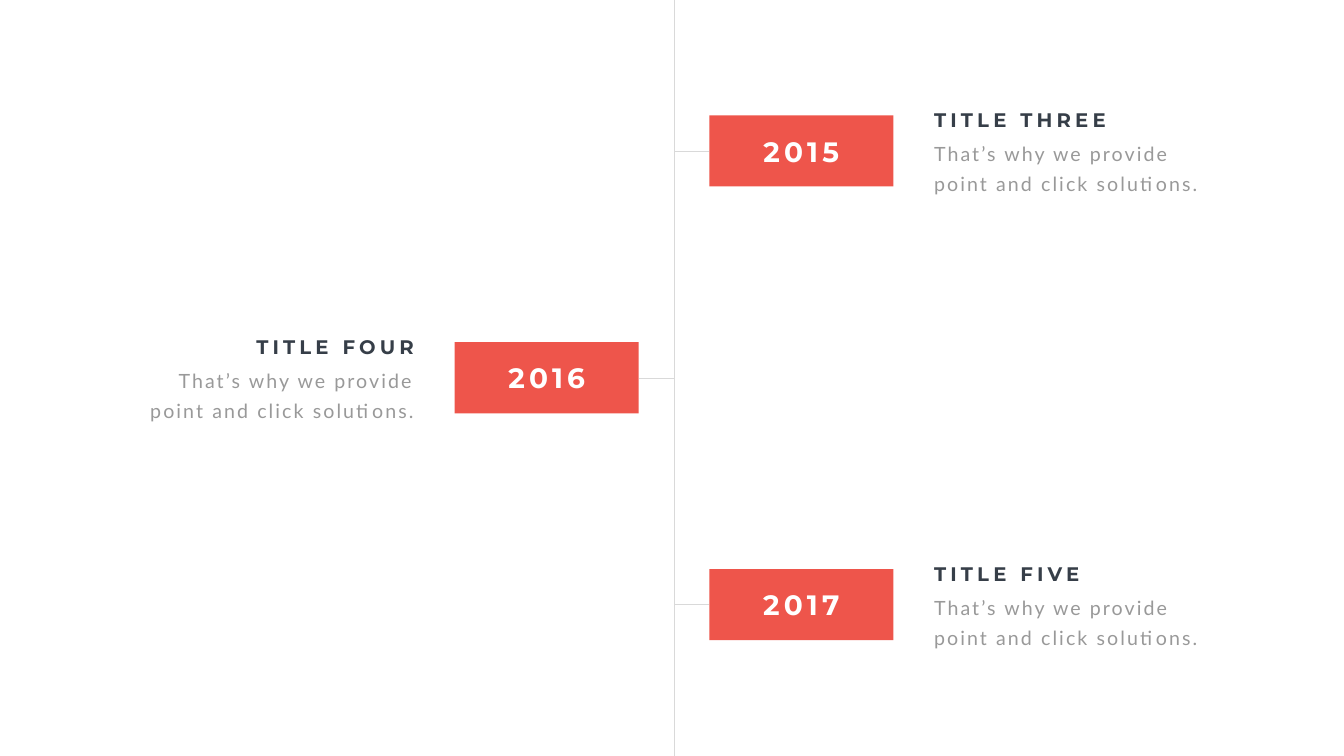
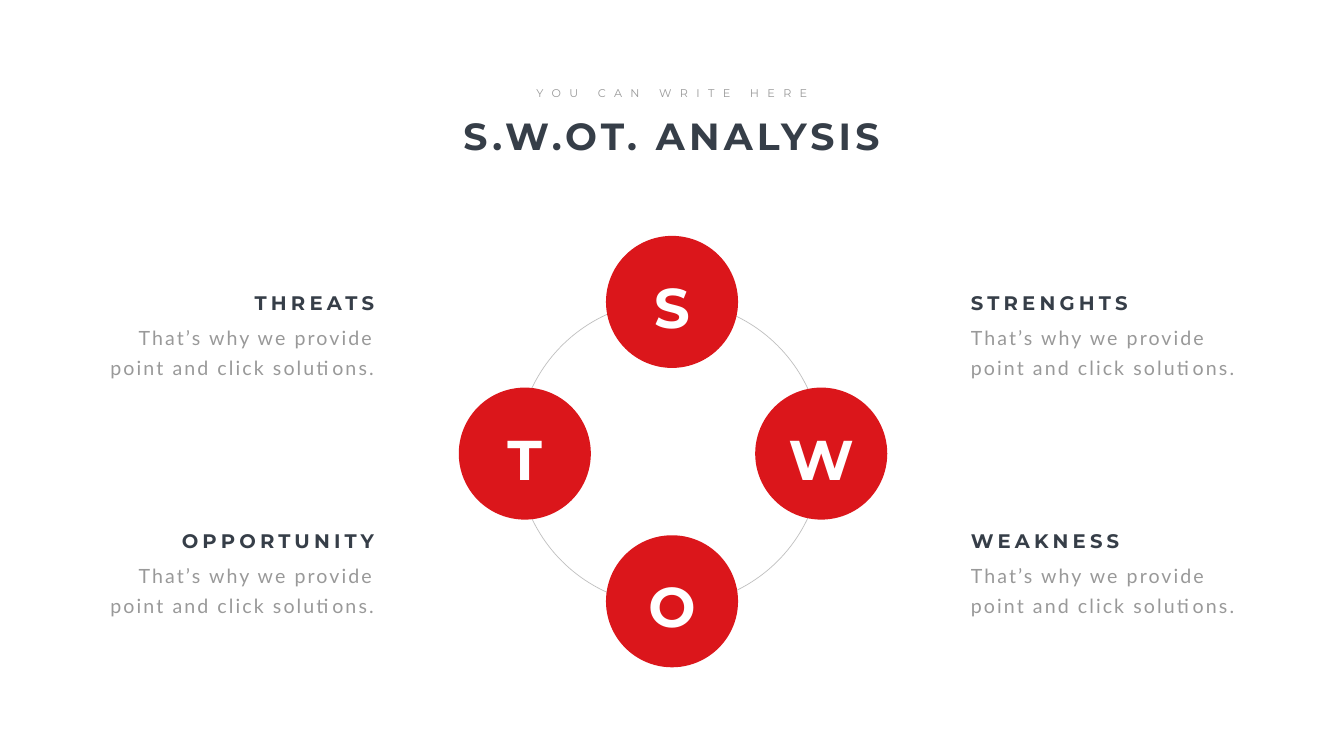
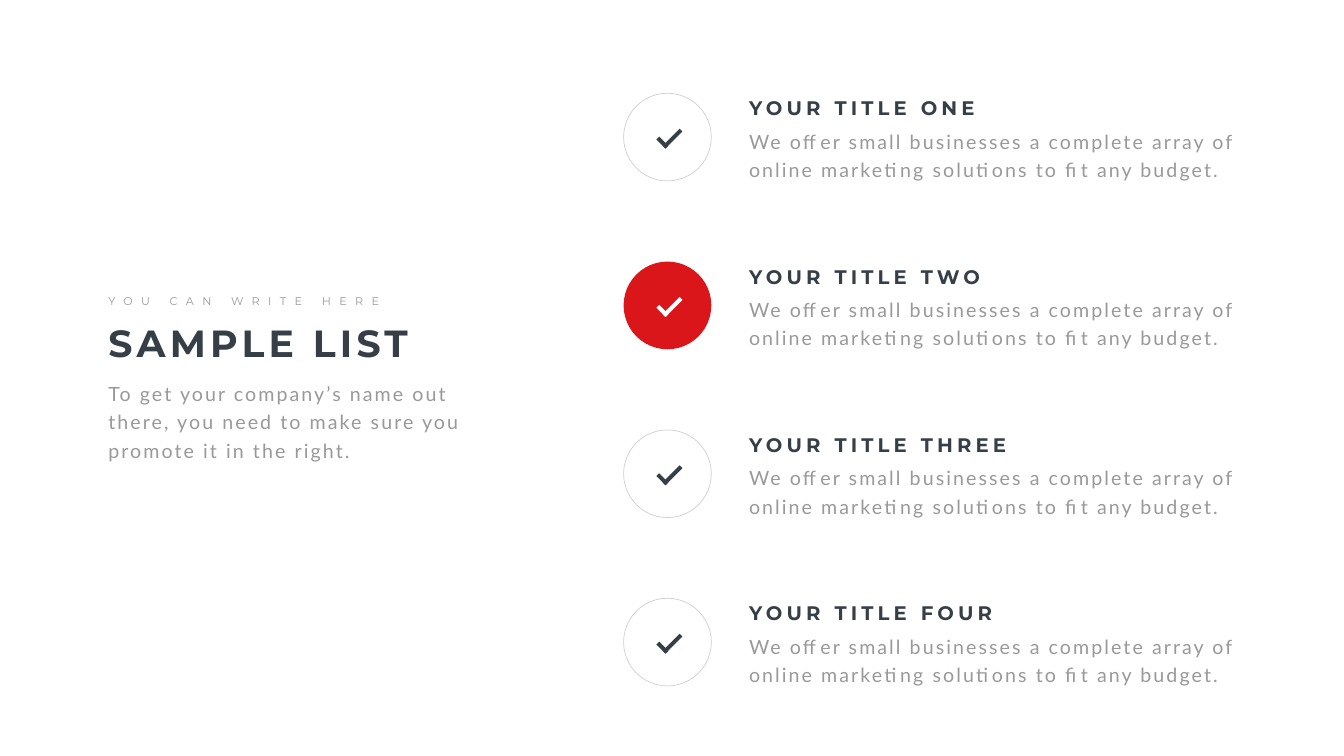
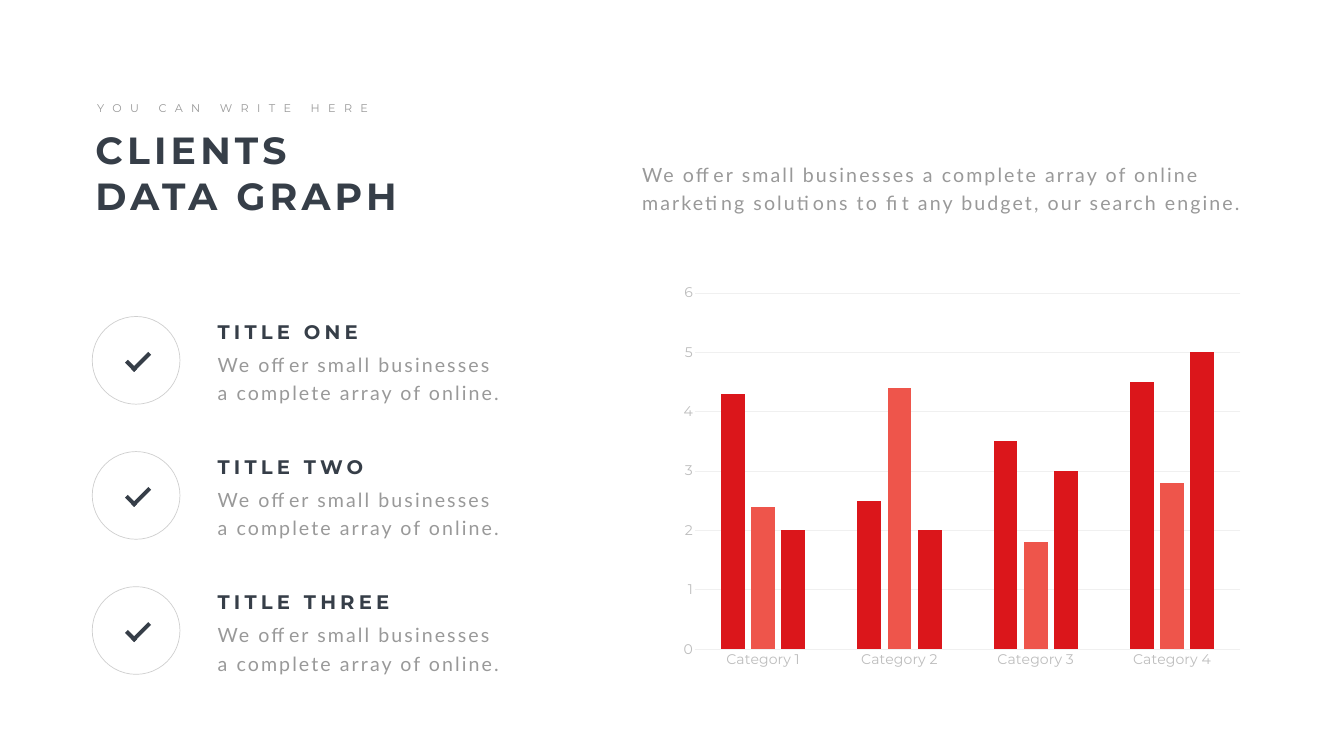
from collections import namedtuple
from lxml.etree import SubElement
from pptx import Presentation
from pptx.chart.data import CategoryChartData as ChartData
from pptx.dml.color import RGBColor
from pptx.enum.chart import XL_CHART_TYPE as Chart, XL_TICK_MARK as Tick
from pptx.enum.shapes import MSO_CONNECTOR as Link, MSO_SHAPE as Kind
from pptx.enum.text import MSO_ANCHOR as Anchor, MSO_AUTO_SIZE as Fit, PP_ALIGN as Align
from pptx.oxml.ns import qn
from pptx.util import Inches, Pt

# Shared colours and text styles
DARK, GREY, WHITE = "363E48", "999999", "FFFFFF"
RED, CORAL = "DB161B", "EE554B"
RING, WHEEL, RULE, GRID, AXIS = "CFCFCF", "BFBFBF", "D9D9D9", "F0F0F0", "BDBDBD"

Style = namedtuple("Style", "font size color bold space")
TITLE = Style("Montserrat", 54, DARK, True, 6)
KICKER = Style("Montserrat", 16, GREY, False, 12)
HEAD = Style("Montserrat", 28, DARK, True, 6)
BODY = Style("Lato", 28, GREY, False, 3)
YEAR = Style("Montserrat", 40, WHITE, True, 6)
LETTER = Style("Montserrat", 80, WHITE, True, 0)

HEAD_H = 0.57
TIGHT, LOOSE = 40.8, 43  # body line spacing in points
POINT = "That’s why we provide point and click solutions."


def rgb(code):
    return RGBColor.from_string(code)


def write(shape, text, style, align=Align.LEFT, lead=None):
    frame = shape.text_frame
    frame.text = text
    para = frame.paragraphs[0]
    para.alignment = align
    if lead:
        para.line_spacing = Pt(lead)
    for run in para.runs:
        font = run.font
        font.name, font.size, font.bold = style.font, Pt(style.size), style.bold
        font.color.rgb = rgb(style.color)
        if style.space:
            run._r.get_or_add_rPr().set("spc", str(style.space * 100))


def label(slide, box, text, style, align=Align.LEFT, wrap=True):
    shape = slide.shapes.add_textbox(*map(Inches, box))
    shape.text_frame.word_wrap = wrap
    shape.text_frame.auto_size = Fit.SHAPE_TO_FIT_TEXT
    write(shape, text, style, align)


def body(slide, x, y, w, text, lead, align=Align.LEFT, lines=2):
    high = lines * lead / 72 + 0.06
    shape = slide.shapes.add_textbox(*map(Inches, (x, y, w, high)))
    frame = shape.text_frame
    frame.word_wrap, frame.auto_size = True, Fit.SHAPE_TO_FIT_TEXT
    frame.margin_top = frame.margin_bottom = Inches(0.03)
    write(shape, text, BODY, align, lead)


def draw(slide, kind, box, fill=None, line=None, turn=0):
    shape = slide.shapes.add_shape(kind, *map(Inches, box))
    shape.shadow.inherit = False
    shape.rotation = turn
    if fill:
        shape.fill.solid()
        shape.fill.fore_color.rgb = rgb(fill)
    else:
        shape.fill.background()
    if line:
        shape.line.color.rgb = rgb(line)
        shape.line.width = Pt(1)
    else:
        shape.line.fill.background()
    return shape


def rule(slide, x1, y1, x2, y2):
    line = slide.shapes.add_connector(Link.STRAIGHT, *map(Inches, (x1, y1, x2, y2)))
    line.line.color.rgb = rgb(RULE)
    line.line.width = Pt(0.5)
    SubElement(line._element.spPr, qn("a:effectLst"))
    return line


def header(slide, box, text, kick_x, kick_y, align=Align.LEFT):
    """Place the slide title and the small line above it."""
    title = slide.shapes.title
    title.left, title.top, title.width, title.height = map(Inches, box)
    frame = title.text_frame
    frame.word_wrap, frame.auto_size = True, Fit.SHAPE_TO_FIT_TEXT
    frame.vertical_anchor = Anchor.TOP
    write(title, text, TITLE, align)
    label(slide, (kick_x, kick_y, 5.78, 0.37), "YOU CAN WRITE HERE", KICKER, align, False)


def entry(slide, edge, y, head, right=False):
    """Heading and text that start, or end if right, at the edge."""
    align = Align.RIGHT if right else Align.LEFT
    head_w, body_w = 4.41, 5.45
    body(slide, edge - body_w * right, y + HEAD_H, body_w, POINT, LOOSE, align)
    label(slide, (edge - head_w * right, y, head_w, HEAD_H), head, HEAD, align)


def check(slide, x, y, head, text, head_w, body_w, active=False):
    """Tick in a circle with a heading and text beside it."""
    draw(slide, Kind.OVAL, (x, y, 1.74, 1.74), RED if active else None, None if active else RING)
    ink = WHITE if active else DARK
    draw(slide, Kind.RECTANGLE, (x + 0.64, y + 0.94, 0.26, 0.08), ink, turn=45)
    draw(slide, Kind.RECTANGLE, (x + 0.73, y + 0.86, 0.48, 0.08), ink, turn=315)
    body(slide, x + 2.39, y + 0.59, body_w, text, TIGHT)
    label(slide, (x + 2.39, y + 0.01, head_w, HEAD_H), head, HEAD)


def years(slide):
    spine, gap, wide, high = 13.37, 0.7, 3.65, 1.41
    rule(slide, spine, 0, spine, 15)
    items = [("2015", "TITLE THREE"), ("2016", "TITLE FOUR"), ("2017", "TITLE FIVE")]
    for i, (year, head) in enumerate(items):
        left = i % 2 == 1
        x = spine - gap - wide if left else spine + gap
        y = 2.29 + 4.5 * i
        card = draw(slide, Kind.RECTANGLE, (x, y, wide, high), CORAL)
        card.text_frame.vertical_anchor = Anchor.MIDDLE
        write(card, year, YEAR, Align.CENTER)
        mid = y + high / 2
        if left:
            rule(slide, x + wide, mid, spine, mid).begin_connect(card, 3)
        else:
            rule(slide, spine, mid, x, mid).end_connect(card, 1)
        entry(slide, 8.31 if left else 18.43, y - 0.2, head, left)


def swot(slide):
    header(slide, (8.77, 2.18, 9.11, 1.01), "S.W.OT. ANALYSIS", 10.44, 1.67, Align.CENTER)
    draw(slide, Kind.OVAL, (10.26, 5.97, 6.05, 6.05), line=WHEEL)
    spots = [("S", 12.02, 4.68), ("W", 14.98, 7.69), ("T", 9.1, 7.69), ("O", 12.02, 10.62)]
    for letter, x, y in spots:
        disc = draw(slide, Kind.OVAL, (x, y, 2.62, 2.62), RED)
        disc.text_frame.vertical_anchor = Anchor.MIDDLE
        disc.text_frame.margin_top = Inches(0.22)
        write(disc, letter, LETTER, Align.CENTER)
    rows = [(5.73, "STRENGHTS", "THREATS"), (10.45, "WEAKNESS", "OPPORTUNITY")]
    for y, east, west in rows:
        entry(slide, 19.16, y, east)
        entry(slide, 7.52, y, west, True)


def listing(slide):
    header(slide, (2.05, 6.3, 6.74, 1.01), "SAMPLE LIST", 2.05, 5.8)
    body(slide, 2.05, 7.44, 7.4, "To get your company’s name out there, you need to make "
         "sure you promote it in the right.", TIGHT, lines=3)
    text = ("We offer small businesses a complete array of online marketing "
            "solutions to fit any budget.")
    for i, word in enumerate(["ONE", "TWO", "THREE", "FOUR"]):
        check(slide, 12.37, 1.85 + 3.34 * i, f"YOUR TITLE {word}", text, 6.36, 9.85, i == 1)


def columns(slide):
    data = ChartData()
    data.categories = [f"Category {n}" for n in range(1, 5)]
    data.add_series("Series 1", (4.3, 2.5, 3.5, 4.5))
    data.add_series("Series 2", (2.4, 4.4, 1.8, 2.8))
    data.add_series("Series 3", (2, 2, 3, 5))
    box = map(Inches, (13.33, 5.48, 11.5, 7.94))
    chart = slide.shapes.add_chart(Chart.COLUMN_CLUSTERED, *box, data).chart
    chart.has_legend = chart.has_title = False
    chart.font.name, chart.font.size = "Montserrat", Pt(20)
    chart.font.color.rgb = rgb(GREY)
    plot = chart.plots[0]
    plot.gap_width, plot.overlap, plot.vary_by_categories = 219, -27, False
    for series, color in zip(plot.series, (RED, CORAL, RED)):
        series.format.fill.solid()
        series.format.fill.fore_color.rgb = rgb(color)
    # Axes and grid
    cats, vals = chart.category_axis, chart.value_axis
    for axis in (cats, vals):
        axis.major_tick_mark = axis.minor_tick_mark = Tick.NONE
        font = axis.tick_labels.font
        font.name, font.size = "Montserrat", Pt(20)
        font.color.rgb = rgb(AXIS)
    vals.minimum_scale, vals.maximum_scale, vals.major_unit = 0, 6, 1
    vals.format.line.fill.background()
    for line in (cats.format.line, vals.major_gridlines.format.line):
        line.color.rgb = rgb(GRID)
        line.width = Pt(0.75)


def clients(slide):
    header(slide, (1.79, 2.47, 6.77, 1.92), "CLIENTS DATA GRAPH", 1.83, 1.96)
    columns(slide)
    text = "We offer small businesses a complete array of online."
    for i, word in enumerate(["ONE", "TWO", "THREE"]):
        check(slide, 1.83, 6.28 + 2.68 * i, f"TITLE {word}", text, 5.89, 5.89)
    body(slide, 12.64, 3.1, 12.23, "We offer small businesses a complete array of online "
         "marketing solutions to fit any budget, our search engine.", TIGHT)


def main():
    deck = Presentation()
    deck.slide_width, deck.slide_height = Inches(26.66), Inches(15)
    titled, blank = deck.slide_layouts[5], deck.slide_layouts[6]
    pages = [(years, blank), (swot, titled), (listing, titled), (clients, titled)]
    for build, layout in pages:
        build(deck.slides.add_slide(layout))
    deck.save("out.pptx")


if __name__ == "__main__":
    main()
